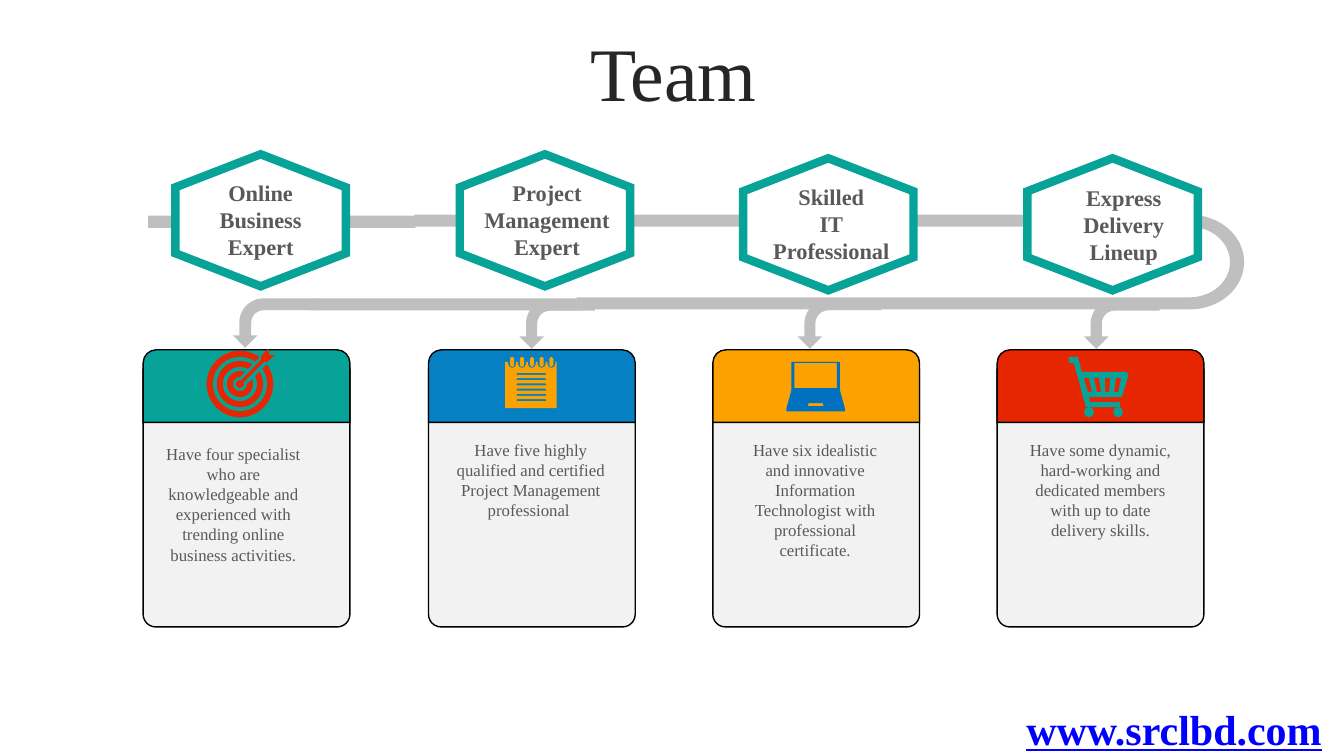
"""Builds the Team slide: four hexagon stages flowing along a band into four cards."""
from dataclasses import dataclass
from itertools import chain
from math import asin, ceil, cos, degrees, radians, sin, tan

from pptx import Presentation
from pptx.dml.color import RGBColor
from pptx.enum.shapes import MSO_SHAPE as Preset
from pptx.enum.text import MSO_ANCHOR as Anchor, PP_ALIGN as Align
from pptx.oxml.ns import qn
from pptx.util import Inches, Pt

FONT = "Times New Roman"
GREY, TEAL, RED, AMBER = "BFBFBF", "07A398", "E62601", "FBA200"
CARD_W, CARD_R = 2.05, 0.13
Points = list[tuple[float, ...]]


@dataclass
class Label:
    text: str
    x: float
    y: float
    h: float


@dataclass
class Arrow:
    x: float
    y: float
    length: float
    thickness: float


@dataclass
class Icon:
    contours: list[Points]
    color: str


@dataclass
class Stage:
    hex_x: float
    hex_y: float
    card_x: float
    color: str
    title: Label
    body: Label
    arrow: Arrow
    icon: Icon


def rgb(color: str) -> RGBColor:
    return RGBColor.from_string(color)


def arc(cx: float, cy: float, r: float, start: float, end: float, ry: float = 0) -> Points:
    ry = ry or r
    count = ceil(abs(end - start) / 90)
    step = radians(end - start) / count
    k = 4 / 3 * tan(step / 4)
    points = [(cx + r * cos(radians(start)), cy + ry * sin(radians(start)))]
    for i in range(count):
        a = radians(start) + i * step
        b = a + step
        points.append((cx + r * (cos(a) - k * sin(a)), cy + ry * (sin(a) + k * cos(a)),
                       cx + r * (cos(b) + k * sin(b)), cy + ry * (sin(b) - k * cos(b)),
                       cx + r * cos(b), cy + ry * sin(b)))
    return points


def box(x: float, y: float, w: float, h: float) -> Points:
    return [(x, y), (x + w, y), (x + w, y + h), (x, y + h)]


def target() -> list[Points]:
    cx, cy, half_gap = 2.38, 3.81, 0.05
    contours = []
    for outer in (0.33, 0.23, 0.13):
        inner = outer - 0.06
        a, b = (degrees(asin(half_gap / r)) for r in (outer, inner))
        contours.append(arc(cx, cy, outer, a - 45, 315 - a) + arc(cx, cy, inner, 315 - b, b - 45))
    dart = [(2.59, 3.57), (2.59, 3.53), (2.66, 3.46), (2.67, 3.52), (2.73, 3.52), (2.65, 3.59), (2.62, 3.59)]
    return contours + [dart + arc(cx, cy, 0.04, -25, 285)]


def notepad() -> list[Points]:
    page, rings = [(5.01, 3.59)], []
    for i in range(5):
        cx = 5.08 + 0.39 / 4 * i
        page += [(cx - 0.04, 3.59)] + arc(cx, 3.61, 0.04, 180, 0) + [(cx + 0.04, 3.59)]
        rings.append(arc(cx, 3.56, 0.02, 180, 360) + arc(cx, 3.62, 0.02, 0, 180))
    page += [(5.52, 3.59), (5.52, 4.05), (5.01, 4.05)]
    rows = [3.71 + 0.26 / 5 * i for i in range(6)]
    lines = [arc(5.13, y, 0.01, 90, 270) + arc(5.41, y, 0.01, -90, 90) for y in rows]
    return [page] + rings + lines


def laptop() -> list[Points]:
    body = [(7.85, 3.59), (8.33, 3.59), (8.33, 3.87), (8.38, 4.05), (8.38, 4.08), (7.8, 4.08), (7.8, 4.05), (7.85, 3.87)]
    touchpad = [(8.02, 4), (8.01, 4.03), (8.17, 4.03), (8.16, 4)]
    return [body, box(7.88, 3.6, 0.42, 0.25), touchpad]


def cart() -> list[Points]:
    frame = [(10.6, 3.54), (10.69, 3.54), (10.73, 3.69), (11.17, 3.69), (11.19, 3.71), (11.19, 3.73),
             (11.13, 3.93), (11.11, 3.94), (10.8, 3.94), (10.81, 3.99), (11.11, 3.99), (11.11, 4.04),
             (10.77, 4.04), (10.65, 3.6), (10.6, 3.6)]
    slats = [[(top, 3.75), (low, 3.89), (low + 0.04, 3.89), (top + 0.05, 3.75)]
             for top, low in ((10.75, 10.79), (10.85, 10.88), (10.96, 10.96), (11.07, 11.05))]
    return [frame] + slats + [arc(cx, 4.09, 0.05, 0, 360) for cx in (10.8, 11.09)]


def paint(sp, color: str, line: str = "", width: float = 1) -> None:
    sp.shadow.inherit = False
    sp.fill.solid()
    sp.fill.fore_color.rgb = rgb(color)
    if line:
        sp.line.color.rgb = rgb(line)
        sp.line.width = Pt(width)
        ln = sp.element.spPr.find(qn("a:ln"))
        ln.append(ln.makeelement(qn("a:miter"), {"lim": "800000"}))
    else:
        sp.line.fill.background()


def add_preset(s, kind, x: float, y: float, w: float, h: float, color: str, line: str = "", width: float = 1):
    sp = s.shapes.add_shape(kind, Inches(x), Inches(y), Inches(w), Inches(h))
    paint(sp, color, line, width)
    return sp


def add_outline(s, contours: list[Points], color: str, line: str = "") -> None:
    builder = None
    for contour in contours:
        start, *rest = [(Inches(p[-2]), Inches(p[-1])) for p in contour]
        if builder is None:
            builder = s.shapes.build_freeform(*start, scale=1.0)
        else:
            builder.move_to(*start)
        builder.add_line_segments(rest, close=True)
    sp = builder.convert_to_shape()
    nodes = list(sp.element.iter(qn("a:moveTo"), qn("a:lnTo")))
    for node, point in zip(nodes, chain(*contours)):
        if len(point) == 6:
            node.tag = qn("a:cubicBezTo")
            for i in (0, 1):
                x, y = Inches(point[2 * i]) - sp.left, Inches(point[2 * i + 1]) - sp.top
                node.insert(i, node.makeelement(qn("a:pt"), {"x": str(x), "y": str(y)}))
    paint(sp, color, line)


def add_text(s, label: Label, w: float, size: float, color: str, bold: bool = False,
             align=Align.CENTER, underline: bool = False):
    tf = s.shapes.add_textbox(Inches(label.x), Inches(label.y), Inches(w), Inches(label.h)).text_frame
    tf.word_wrap = True
    tf.text = label.text
    for p in tf.paragraphs:
        p.alignment = align
        p.font.name, p.font.size, p.font.bold = FONT, Pt(size), bold
        p.font.color.rgb = rgb(color)
        p.font.underline = underline
    return tf


def add_stage(s, stage: Stage) -> None:
    arrow, x = stage.arrow, stage.card_x
    sp = add_preset(s, Preset.BENT_ARROW, arrow.x, arrow.y, 0.49, arrow.length, GREY)
    for i, value in enumerate((arrow.thickness, 0.25, 0.25, 0.489)):
        sp.adjustments[i] = value
    sp.element.spPr.xfrm.set("flipH", "1")
    hexagon = add_preset(s, Preset.HEXAGON, stage.hex_x, stage.hex_y, 1.31, 1.69, "FFFFFF", TEAL, 6)
    sp.rotation = hexagon.rotation = 270
    card = add_preset(s, Preset.ROUNDED_RECTANGLE, x, 3.55, CARD_W, 2.67, "F2F2F2", "000000")
    card.adjustments[0] = 0.061
    header = (arc(x + CARD_R, 3.6, CARD_R, 180, 270) + arc(x + CARD_W - CARD_R, 3.6, CARD_R, 270, 360)
              + [(x + CARD_W, 4.19), (x, 4.19)])
    add_outline(s, [header], stage.color, "000000")
    add_text(s, stage.title, 1.69, 16, "595959", bold=True)
    add_text(s, stage.body, 1.69, 12, "595959")
    add_outline(s, stage.icon.contours, stage.icon.color)


STAGES = [
    Stage(1.93, 1.34, 1.42, TEAL, Label("Online Business Expert", 1.74, 1.73, 0.91),
          Label("Have four specialist who are knowledgeable and experienced with trending online "
                "business activities.", 1.47, 4.35, 1.31), Arrow(2.48, 2.79, 0.83, 0.241), Icon(target(), RED)),
    Stage(4.75, 1.34, 4.25, "0680C3", Label("Project Management Expert", 4.58, 1.73, 0.91),
          Label("Have five highly qualified and certified Project Management professional ", 4.42, 4.31, 0.91),
          Arrow(5.28, 2.84, 0.75, 0.227), Icon(notepad(), AMBER)),
    Stage(7.56, 1.38, 7.07, AMBER, Label("Skilled\nIT\nProfessional", 7.4, 1.77, 0.91),
          Label("Have six idealistic and innovative Information Technologist with professional certificate.",
                7.24, 4.31, 1.31), Arrow(8.08, 2.8, 0.83, 0.22), Icon(laptop(), "0070C0")),
    Stage(10.38, 1.38, 9.89, RED, Label("Express Delivery Lineup", 10.3, 1.78, 0.91),
          Label("Have some dynamic, hard-working and dedicated members with up to date delivery skills.",
                10.07, 4.31, 1.11), Arrow(10.88, 2.84, 0.75, 0.226), Icon(cart(), TEAL)),
]


def main() -> None:
    prs = Presentation()
    prs.slide_width, prs.slide_height = Inches(13.33), Inches(7.5)
    s = prs.slides.add_slide(prs.slide_layouts[6])
    tf = add_text(s, Label("Team", 0.35, 0.37, 0.79), 12.66, 54, "262626")
    tf.vertical_anchor = Anchor.MIDDLE
    tf.paragraphs[0].line_spacing = 0.9
    for x, y in ((1.47, 2.14), (3.13, 2.96)):
        add_preset(s, Preset.RECTANGLE, x, y, 2.65, 0.12, GREY)
    bend = ([(4.11, 2.13)] + arc(11.8, 2.6, 0.54, -90, 90, 0.47) + [(5.72, 3.07), (5.72, 2.95)]
            + arc(11.8, 2.6, 0.4, 90, -90, 0.35) + [(4.11, 2.25)])
    add_outline(s, [bend], GREY)
    for stage in STAGES:
        add_stage(s, stage)
    add_text(s, Label("www.srclbd.com", 10.08, 6.93, 0.61), 3.13, 30, "0000FF", True, Align.RIGHT, True)
    prs.save("out.pptx")


if __name__ == "__main__":
    main()
